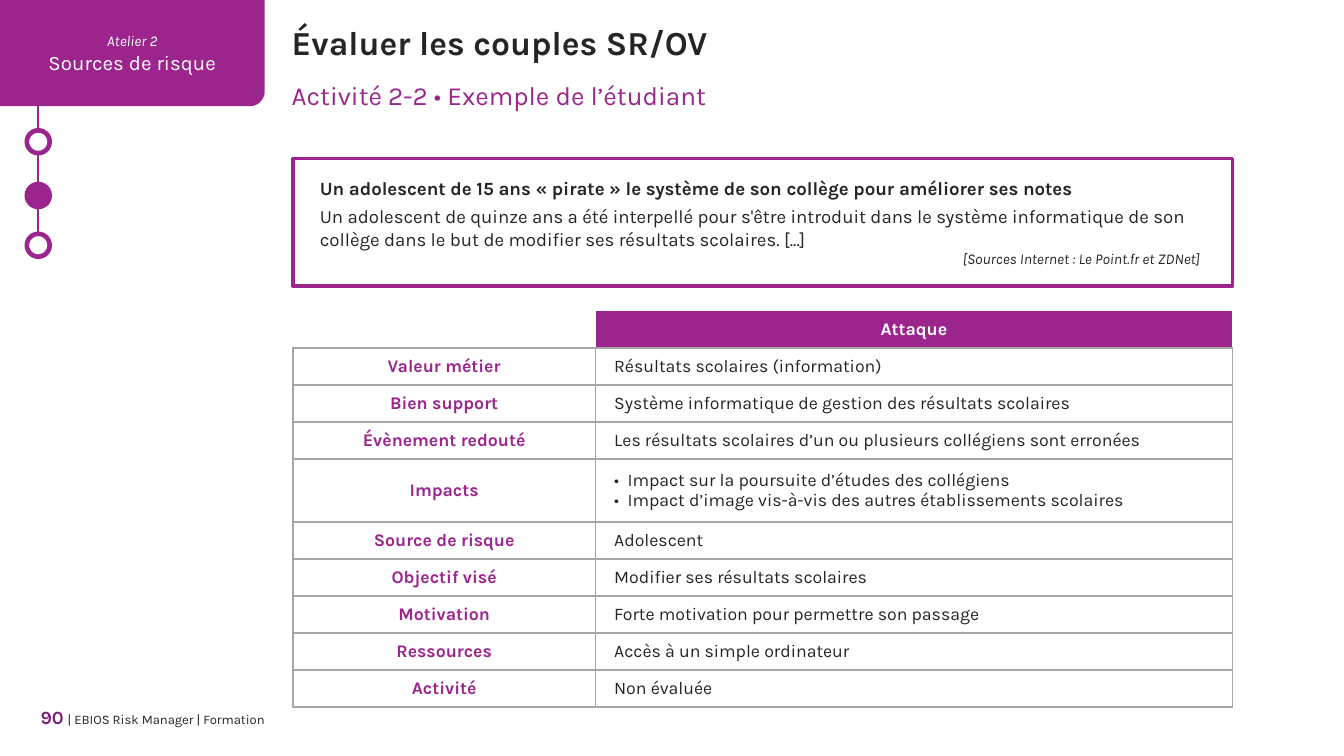
from math import cos, pi, sin

from lxml.etree import SubElement
from pptx import Presentation
from pptx.dml.color import RGBColor
from pptx.enum.shapes import MSO_CONNECTOR as Connector, MSO_SHAPE as Shape
from pptx.enum.text import MSO_ANCHOR as Anchor, MSO_AUTO_SIZE as AutoSize, PP_ALIGN as Align
from pptx.oxml import parse_xml
from pptx.oxml.ns import nsdecls, qn
from pptx.util import Inches, Pt

PURPLE = RGBColor(0x9C, 0x25, 0x8D)
DARK_PURPLE = RGBColor(0x77, 0x20, 0x80)
WHITE = RGBColor(0xFF, 0xFF, 0xFF)
INK = RGBColor(0x25, 0x25, 0x25)
GREY = RGBColor(0xA6, 0xA6, 0xA6)
FONT = "Karla"

ROWS = [
    ("Valeur métier", ["Résultats scolaires (information)"]),
    ("Bien support", ["Système informatique de gestion des résultats scolaires"]),
    ("Évènement redouté", ["Les résultats scolaires d’un ou plusieurs collégiens sont erronées"]),
    ("Impacts", ["Impact sur la poursuite d’études des collégiens",
                 "Impact d’image vis-à-vis des autres établissements scolaires"]),
    ("Source de risque", ["Adolescent"]),
    ("Objectif visé", ["Modifier ses résultats scolaires"]),
    ("Motivation", ["Forte motivation pour permettre son passage"]),
    ("Ressources", ["Accès à un simple ordinateur"]),
    ("Activité", ["Non évaluée"]),
]


def write(paragraph, text, size, color=INK, bold=False, italic=False, align=Align.LEFT, after=0):
    """Append a formatted run to a paragraph and set the paragraph's layout."""
    paragraph.alignment = align
    paragraph.space_before = Pt(0)
    paragraph.space_after = Pt(after)
    run = paragraph.add_run()
    run.text = text
    font = run.font
    font.name, font.size, font.bold, font.italic = FONT, Pt(size), bold, italic
    font.color.rgb = color


def set_frame(frame, left=0, right=0, anchor=Anchor.TOP):
    """Give a text frame wrapping, margins and an anchor."""
    frame.word_wrap = True
    frame.auto_size = AutoSize.NONE
    frame.margin_left, frame.margin_right = Inches(left), Inches(right)
    frame.margin_top = frame.margin_bottom = 0
    frame.vertical_anchor = anchor


def fill_placeholder(placeholder, left, top, width, height, text, **style):
    """Move a placeholder into its box and write its text."""
    placeholder.left, placeholder.top = Inches(left), Inches(top)
    placeholder.width, placeholder.height = Inches(width), Inches(height)
    set_frame(placeholder.text_frame)
    write(placeholder.text_frame.paragraphs[0], text, **style)


def add_progress(slide, left, top, height, diameter=0.17):
    """Draw the vertical step line with the second step marked as current."""
    center = Inches(left + diameter / 2)
    line = slide.shapes.add_connector(
        Connector.STRAIGHT, center, Inches(top), center, Inches(top + height))
    line.line.color.rgb = PURPLE
    line.line.width = Pt(1.25)
    SubElement(line._element.spPr, qn("a:effectLst"))
    for offset, fill in ((0.3, WHITE), (0.7, PURPLE), (1.07, WHITE)):
        step = slide.shapes.add_shape(Shape.OVAL, Inches(left), Inches(top + offset),
                                      Inches(diameter), Inches(diameter))
        step.shadow.inherit = False
        step.fill.solid()
        step.fill.fore_color.rgb = fill
        step.line.color.rgb = PURPLE
        step.line.width = Pt(2.5)


def add_workshop_tab(slide, left, top, width, height, radius=0.11):
    """Draw the workshop tab, rounded at its lower right corner."""
    arc = [(left + width - radius + radius * cos(pi * step / 24),
            top + height - radius + radius * sin(pi * step / 24)) for step in range(13)]
    points = [(left + width, top), *arc, (left, top + height)]
    builder = slide.shapes.build_freeform(Inches(left), Inches(top))
    builder.add_line_segments([(Inches(x), Inches(y)) for x, y in points], close=True)
    tab = builder.convert_to_shape()
    tab.shadow.inherit = False
    tab.fill.solid()
    tab.fill.fore_color.rgb = PURPLE
    tab.line.fill.background()
    frame = tab.text_frame
    set_frame(frame, anchor=Anchor.MIDDLE)
    write(frame.paragraphs[0], "Atelier 2", 8, WHITE, italic=True, align=Align.CENTER)
    write(frame.add_paragraph(), "Sources de risque", 11, WHITE, align=Align.CENTER)


def add_footer(slide, left, top, width, height):
    """Write the page number and course name."""
    box = slide.shapes.add_textbox(Inches(left), Inches(top), Inches(width), Inches(height))
    set_frame(box.text_frame)
    paragraph = box.text_frame.paragraphs[0]
    write(paragraph, "90", 10, DARK_PURPLE, bold=True, align=Align.RIGHT)
    write(paragraph, " ", 9, align=Align.RIGHT)
    write(paragraph, "| EBIOS Risk Manager | Formation", 7, align=Align.RIGHT)


def add_news(slide, left, top, width, height):
    """Draw the framed news extract."""
    box = slide.shapes.add_shape(Shape.RECTANGLE, Inches(left), Inches(top),
                                 Inches(width), Inches(height))
    box.shadow.inherit = False
    box.fill.background()
    box.line.color.rgb = PURPLE
    box.line.width = Pt(2)
    frame = box.text_frame
    set_frame(frame, 0.2, 0.24, Anchor.MIDDLE)
    write(frame.paragraphs[0], "Un adolescent de 15 ans « pirate » le système de son collège "
          "pour améliorer ses notes", 10, bold=True, after=3)
    write(frame.add_paragraph(), "Un adolescent de quinze ans a été interpellé pour s'être "
          "introduit dans le système informatique de son collège dans le but de modifier "
          "ses résultats scolaires. [...]", 10)
    write(frame.add_paragraph(), "[Sources Internet : Le Point.fr et ZDNet]", 8,
          italic=True, align=Align.RIGHT, after=6)


def add_bullet(paragraph):
    """Give a paragraph a hanging round bullet."""
    properties = paragraph._p.get_or_add_pPr()
    properties.set("marL", str(Inches(0.1)))
    properties.set("indent", str(-Inches(0.1)))
    SubElement(properties, qn("a:buFont"), typeface=FONT)
    SubElement(properties, qn("a:buChar"), char="•")


def fill_cell(cell, lines, left=0.06, fill=WHITE, edge=GREY, **style):
    """Write a table cell and set its margins, fill and borders."""
    cell.margin_left, cell.margin_right = Inches(left), Inches(0.06)
    cell.margin_top = cell.margin_bottom = 0
    cell.vertical_anchor = Anchor.MIDDLE
    for index, text in enumerate(lines):
        paragraph = cell.text_frame.add_paragraph() if index else cell.text_frame.paragraphs[0]
        if len(lines) > 1:
            add_bullet(paragraph)
        write(paragraph, text, 9.5, **style)
    edges = {"lnL": edge, "lnR": edge, "lnT": edge, "lnB": GREY}
    for position, (tag, color) in enumerate(edges.items()):
        cell._tc.get_or_add_tcPr().insert(position, parse_xml(
            f'<a:{tag} {nsdecls("a")} w="{Pt(1)}"><a:solidFill>'
            f'<a:srgbClr val="{color}"/></a:solidFill></a:{tag}>'))
    if fill is None:
        cell.fill.background()
    else:
        cell.fill.solid()
        cell.fill.fore_color.rgb = fill


def add_attack_table(slide, left, top, width, height, label_width=2.25, tall_row=0.47):
    """Draw the table that describes the attack."""
    table = slide.shapes.add_table(len(ROWS) + 1, 2, Inches(left), Inches(top),
                                   Inches(width), Inches(height)).table
    table.first_row = table.horz_banding = False
    table.columns[0].width = Inches(label_width)
    table.columns[1].width = Inches(width - label_width)
    row_height = Inches((height - tall_row) / len(ROWS))
    table.rows[0].height = row_height
    heading = {"bold": True, "align": Align.CENTER}
    fill_cell(table.cell(0, 0), [""], fill=None, edge=WHITE)
    fill_cell(table.cell(0, 1), ["Attaque"], fill=PURPLE, edge=WHITE, color=WHITE, **heading)
    for row, (label, lines) in enumerate(ROWS, 1):
        table.rows[row].height = Inches(tall_row) if len(lines) > 1 else row_height
        fill_cell(table.cell(row, 0), [label], color=PURPLE, **heading)
        fill_cell(table.cell(row, 1), lines, left=0.14)


def main():
    """Build and save the slide."""
    presentation = Presentation()
    presentation.slide_width = Inches(10)
    presentation.slide_height = Inches(10 * 9 / 16)
    slide = presentation.slides.add_slide(presentation.slide_layouts[0])
    title, subtitle = slide.placeholders
    fill_placeholder(title, 2.17, 0.16, 7.48, 0.3, "Évaluer les couples SR/OV",
                     size=18, bold=True)
    fill_placeholder(subtitle, 2.17, 0.59, 7.04, 0.24, "Activité 2-2 • Exemple de l’étudiant",
                     size=14, color=PURPLE)
    add_progress(slide, 0.2, 0.67, 1.24)
    add_workshop_tab(slide, 0, 0, 1.97, 0.79)
    add_footer(slide, 0.2, 5.25, 1.77, 0.2)
    add_news(slide, 2.18, 1.18, 6.99, 0.95)
    add_attack_table(slide, 2.18, 2.31, 6.99, 2.95)
    presentation.save("out.pptx")


if __name__ == "__main__":
    main()
